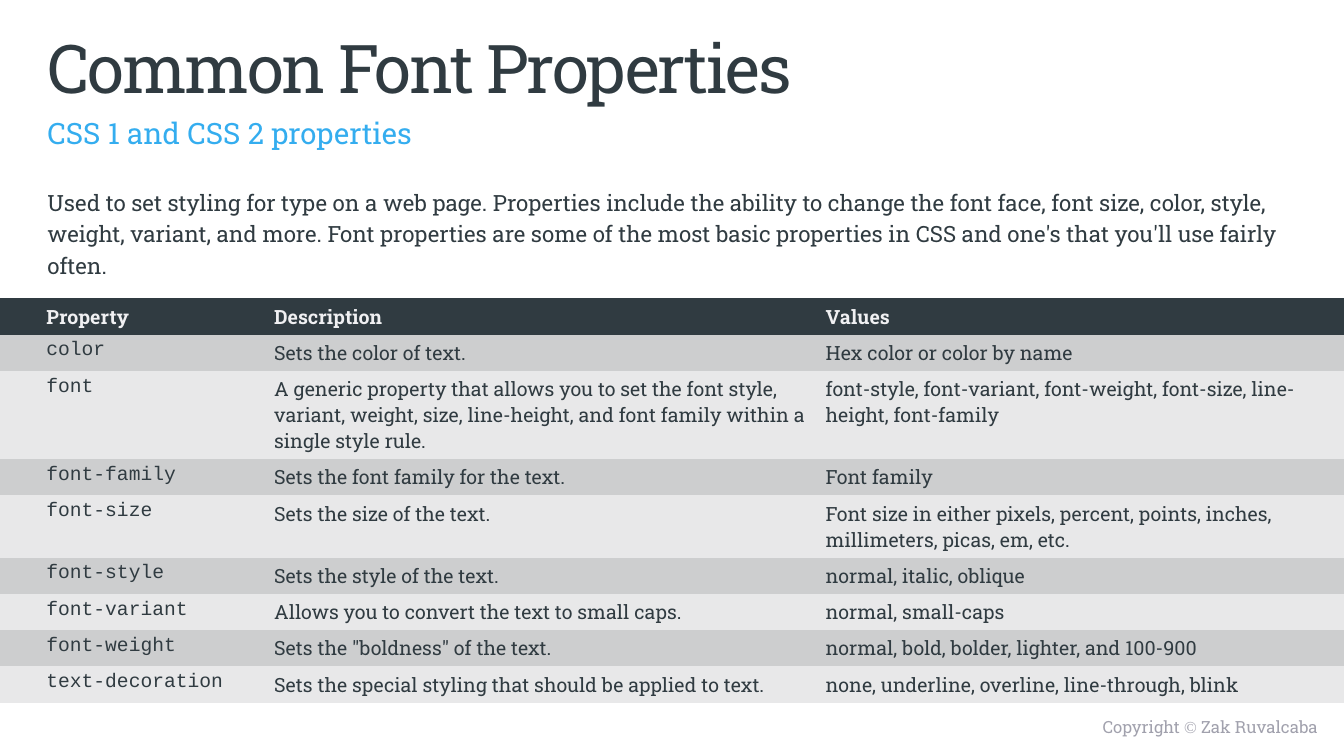
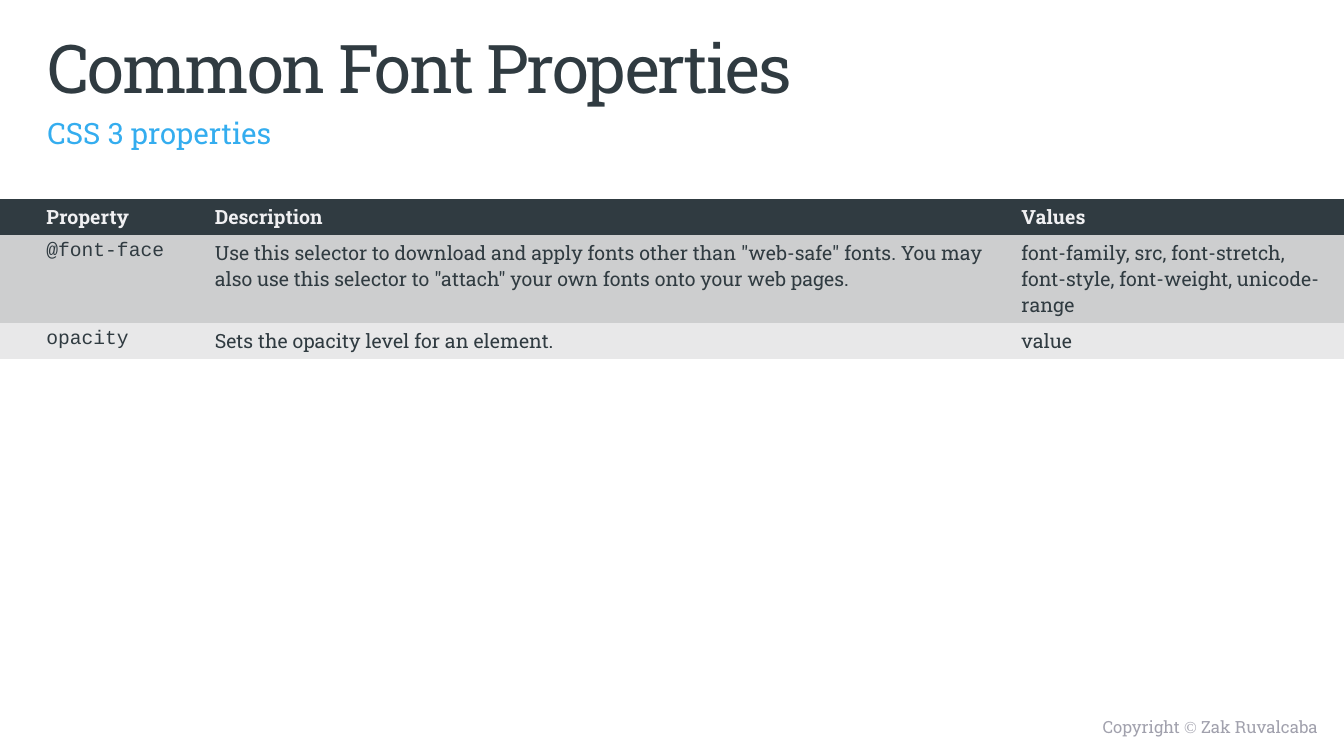
from pptx import Presentation
from pptx.dml.color import RGBColor
from pptx.enum.text import MSO_ANCHOR, MSO_AUTO_SIZE, PP_ALIGN
from pptx.oxml.ns import qn
from pptx.util import Inches, Pt
from lxml.etree import SubElement

WIDTH, HEIGHT = 13.33, 7.5
SLAB, MONO, SERIF = "Roboto Slab", "Courier New", "Times New Roman"
DARK, BLUE, GREY, LIGHT = "303B41", "34ADEF", "A1A1AD", "F0F0F2"
BANDS = ["E8E8E9", "CDCECF"]
NO_GRID = "{2D5ABB26-0587-4C30-8999-92F81FD0307C}"
MARGIN, ROW_H = 0.37, 0.36

TITLE = "Common Font Properties"
HEADER = ("Property", "Description", "Values")
INTRO = (
    "Used to set styling for type on a web page. Properties include the ability to "
    "change the font face, font size, color, style, weight, variant, and more. Font "
    "properties are some of the most basic properties in CSS and one's that you'll "
    "use fairly often."
)
CSS12_ROWS = [
    ("color", "Sets the color of text.", "Hex color or color by name"),
    ("font",
     "A generic property that allows you to set the font style, variant, weight, "
     "size, line-height, and font family within a single style rule.",
     "font-style, font-variant, font-weight, font-size, line-height, font-family"),
    ("font-family", "Sets the font family for the text.", "Font family"),
    ("font-size", "Sets the size of the text.",
     "Font size in either pixels, percent, points, inches, millimeters, picas, em, etc."),
    ("font-style", "Sets the style of the text.", "normal, italic, oblique"),
    ("font-variant", "Allows you to convert the text to small caps.",
     "normal, small-caps"),
    ("font-weight", 'Sets the "boldness" of the text.',
     "normal, bold, bolder, lighter, and 100-900"),
    ("text-decoration", "Sets the special styling that should be applied to text.",
     "none, underline, overline, line-through, blink"),
]
CSS3_ROWS = [
    ("@font-face",
     'Use this selector to download and apply fonts other than "web-safe" fonts. You '
     'may also use this selector to "attach" your own fonts onto your web pages.',
     "font-family, src, font-stretch, font-style, font-weight, unicode-range"),
    ("opacity", "Sets the opacity level for an element.", "value"),
]


def rgb(color):
    return RGBColor.from_string(color)


def style_run(r, size, color, font=SLAB, bold=False):
    r.font.size, r.font.name, r.font.bold = Pt(size), font, bold
    r.font.color.rgb = rgb(color)


def fill_placeholder(sp, box, text, size, color, line_spacing=1.0):
    """Move a placeholder to box and set one plain, left-aligned paragraph."""
    sp.left, sp.top, sp.width, sp.height = map(Inches, box)
    tf = sp.text_frame
    tf.text = text
    tf.word_wrap = True
    tf.auto_size = MSO_AUTO_SIZE.NONE
    tf.vertical_anchor = MSO_ANCHOR.TOP
    p = tf.paragraphs[0]
    p.alignment = PP_ALIGN.LEFT
    p.line_spacing = line_spacing
    style_run(p.runs[0], size, color)
    return p


def remove_bullet(p):
    pPr = p._p.get_or_add_pPr()
    pPr.set("marL", "0")
    pPr.set("indent", "0")
    SubElement(pPr, qn("a:buNone"))


def add_heading(s, subtitle):
    p = fill_placeholder(s.shapes.title, (MARGIN, 0.21, 11.76, 0.79), TITLE, 48, DARK)
    p.runs[0]._r.get_or_add_rPr().set("spc", "-150")
    remove_bullet(fill_placeholder(s.placeholders[1], (MARGIN, 0.99, 11.76, 0.39),
                                   subtitle, 21, BLUE, 1.3))


def add_footer(s):
    sp = s.shapes.add_textbox(*map(Inches, (6.77, 7.06, 6.4, 0.31)))
    tf = sp.text_frame
    tf.word_wrap = True
    p = tf.paragraphs[0]
    p.alignment = PP_ALIGN.RIGHT
    for text, font in (("Copyright ", SLAB), ("© ", SERIF), ("Zak Ruvalcaba", SLAB)):
        r = p.add_run()
        r.text = text
        style_run(r, 12, GREY, font)


def add_property_table(s, top, first_cols, rows):
    """Full-width banded table; the last column takes the remaining width."""
    rows = [HEADER, *rows]
    widths = [*first_cols, WIDTH - sum(first_cols)]
    frame = s.shapes.add_table(len(rows), len(widths), 0, Inches(top),
                               Inches(WIDTH), Inches(ROW_H * len(rows)))
    frame.element.find(".//" + qn("a:tableStyleId")).text = NO_GRID
    table = frame.table
    for col, width in zip(table.columns, widths):
        col.width = Inches(width)
    for i, row in enumerate(rows):
        table.rows[i].height = Inches(ROW_H)
        header = i == 0
        for j, text in enumerate(row):
            cell = table.cell(i, j)
            cell.text = text
            cell.fill.solid()
            cell.fill.fore_color.rgb = rgb(DARK if header else BANDS[i % 2])
            cell.vertical_anchor = MSO_ANCHOR.MIDDLE if header else MSO_ANCHOR.TOP
            if j == 0:
                cell.margin_left = Inches(0.46)
            style_run(cell.text_frame.paragraphs[0].runs[0], 14,
                      LIGHT if header else DARK,
                      MONO if j == 0 and not header else SLAB, header)


def add_property_slide(prs, subtitle, top, first_cols, rows, intro=None):
    s = prs.slides.add_slide(prs.slide_layouts[3 if intro else 1])
    add_heading(s, subtitle)
    if intro:
        remove_bullet(fill_placeholder(s.placeholders[2], (MARGIN, 1.78, 12.68, 0.95),
                                       intro, 16, DARK, 1.17))
    add_property_table(s, top, first_cols, rows)
    add_footer(s)


def main():
    prs = Presentation()
    prs.slide_width, prs.slide_height = Inches(WIDTH), Inches(HEIGHT)
    add_property_slide(prs, "CSS 1 and CSS 2 properties", 2.96, (2.62, 5.47),
                       CSS12_ROWS, INTRO)
    add_property_slide(prs, "CSS 3 properties", 1.97, (2.03, 8), CSS3_ROWS)
    prs.save("out.pptx")


if __name__ == "__main__":
    main()
